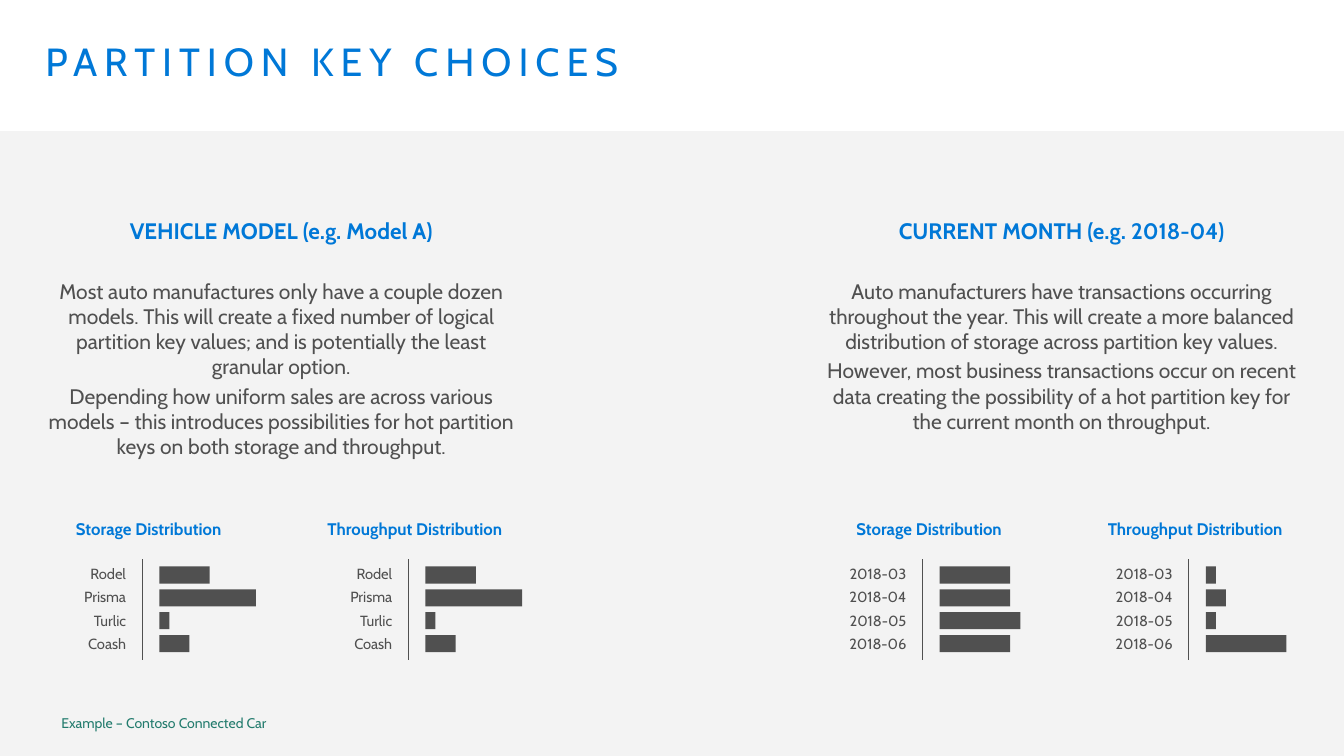
"""Build the slide that compares partition key choices."""
from dataclasses import dataclass

from lxml import etree
from pptx import Presentation
from pptx.dml.color import RGBColor
from pptx.enum.shapes import MSO_CONNECTOR, MSO_SHAPE
from pptx.enum.text import MSO_ANCHOR, MSO_AUTO_SIZE, PP_ALIGN
from pptx.oxml.ns import qn
from pptx.util import Inches, Pt

RECTANGLE = MSO_SHAPE.RECTANGLE
STRAIGHT = MSO_CONNECTOR.STRAIGHT
TOP, MIDDLE = MSO_ANCHOR.TOP, MSO_ANCHOR.MIDDLE
LEFT, CENTER, RIGHT = PP_ALIGN.LEFT, PP_ALIGN.CENTER, PP_ALIGN.RIGHT
NO_FIT, GROW = MSO_AUTO_SIZE.NONE, MSO_AUTO_SIZE.SHAPE_TO_FIT_TEXT


@dataclass(frozen=True)
class Theme:
    """Font, colours and type sizes of the slide."""
    font: str = "Cabin"
    accent: str = "0078D7"
    ink: str = "505050"
    note: str = "227B6D"
    panel: str = "F2F2F2"
    title_size: float = 28
    heading_size: float = 16
    body_size: float = 15
    plot_title_size: float = 12
    label_size: float = 10.5
    note_size: float = 10


THEME = Theme()
PLOT_PITCH = 2.64
ROWS_TOP = 5.62
BAR_PITCH = 0.68 / 3
LABEL_PITCH = 0.7 / 3

CHOICES = [
    {
        "left": 0.29,
        "heading": "VEHICLE MODEL (e.g. Model A)",
        "body": [
            "Most auto manufactures only have a couple dozen models. This will create a fixed "
            "number of logical partition key values; and is potentially the least granular option.",
            "Depending how uniform sales are across various models – this introduces "
            "possibilities for hot partition keys on both storage and throughput.",
        ],
        "keys": ["Rodel", "Prisma", "Turlic", "Coash"],
        "storage": [0.5, 0.96, 0.1, 0.3],
        "throughput": [0.5, 0.96, 0.1, 0.3],
    },
    {
        "left": 8.03,
        "heading": "CURRENT MONTH (e.g. 2018-04)",
        "body": [
            "Auto manufacturers have transactions occurring throughout the year. This will create "
            "a more balanced distribution of storage across partition key values.",
            "However, most business transactions occur on recent data creating the possibility "
            "of a hot partition key for the current month on throughput.",
        ],
        "keys": ["2018-03", "2018-04", "2018-05", "2018-06"],
        "storage": [0.7, 0.7, 0.8, 0.7],
        "throughput": [0.1, 0.2, 0.1, 0.8],
    },
]


def style_paragraph(paragraph, size, color, bold=False, align=LEFT, spacing=None):
    """Format a paragraph and its runs."""
    paragraph.alignment = align
    paragraph.line_spacing = spacing
    for run in paragraph.runs:
        run.font.name = THEME.font
        run.font.size = Pt(size)
        run.font.bold = bold
        run.font.color.rgb = RGBColor.from_string(color)


def add_frame(shapes, left, top, width, height, margins=(0.1, 0.05), anchor=TOP, fit=GROW):
    """Add a wrapping text box and return its text frame."""
    box = shapes.add_textbox(Inches(left), Inches(top), Inches(width), Inches(height))
    frame = box.text_frame
    frame.word_wrap = True
    frame.auto_size = fit
    frame.vertical_anchor = anchor
    frame.margin_left = frame.margin_right = Inches(margins[0])
    frame.margin_top = frame.margin_bottom = Inches(margins[1])
    return frame


def add_block(shapes, left, top, width, height, color):
    """Add a plain filled rectangle without outline."""
    block = shapes.add_shape(RECTANGLE, Inches(left), Inches(top), Inches(width), Inches(height))
    block.shadow.inherit = False
    block.fill.solid()
    block.fill.fore_color.rgb = RGBColor.from_string(color)
    block.line.fill.background()
    return block


def add_panel(shapes):
    """Add the translucent panel below the title."""
    panel = add_block(shapes, 0, 1.3, 13.33, 6.2, THEME.panel)
    color = panel.fill._xPr.find(".//" + qn("a:srgbClr"))
    etree.SubElement(color, qn("a:alpha"), val="89000")


def add_title(shapes, text):
    """Add the letter-spaced slide title."""
    frame = add_frame(shapes, 0.29, 0.32, 12.75, 0.98, (0.16, 0.1), fit=NO_FIT)
    title = frame.paragraphs[0]
    title.text = text
    style_paragraph(title, THEME.title_size, THEME.accent, spacing=0.9)
    title.runs[0].font._element.set("spc", "500")


def add_label(shapes, text, left, top, width, height, size, color, align):
    """Add a one-line label without margins."""
    label = add_frame(shapes, left, top, width, height, (0, 0), MIDDLE).paragraphs[0]
    label.text = text
    style_paragraph(label, size, color, align=align, spacing=0.9)


def add_axis(shapes, left):
    """Add the thin vertical axis of a bar plot."""
    axis = shapes.add_connector(STRAIGHT, Inches(left), Inches(5.55), Inches(left), Inches(6.55))
    axis.line.color.rgb = RGBColor.from_string(THEME.ink)
    axis.line.width = Pt(0.75)
    etree.SubElement(axis._element.spPr, qn("a:effectLst"))


def add_plot(slide, left, title, keys, lengths):
    """Add a titled group of labelled bars."""
    shapes = slide.shapes.add_group_shape().shapes
    heading = add_frame(shapes, left, 5.1, 2.25, 0.3).paragraphs[0]
    heading.text = title
    style_paragraph(heading, THEME.plot_title_size, THEME.accent, True, CENTER)
    for row, (key, length) in enumerate(zip(keys, lengths)):
        add_label(shapes, key, left + 0.07, ROWS_TOP + row * LABEL_PITCH, 0.83, 0.16,
                  THEME.label_size, THEME.ink, RIGHT)
        add_block(shapes, left + 1.23, ROWS_TOP + row * BAR_PITCH, length, 0.17, THEME.ink)
    add_axis(shapes, left + 1.06)


def add_choice(slide, choice):
    """Add the explanation and both bar plots of one key choice."""
    frame = add_frame(slide.shapes, choice["left"], 2.11, 5, 2.54)
    heading = frame.paragraphs[0]
    heading.text = choice["heading"]
    style_paragraph(heading, THEME.heading_size, THEME.accent, True, CENTER)
    for text, gap in zip(choice["body"], (24, 3)):
        statement = frame.add_paragraph()
        statement.text = text
        statement.space_before = Pt(gap)
        style_paragraph(statement, THEME.body_size, THEME.ink, align=CENTER)
    plot_left = choice["left"] + 0.06
    add_plot(slide, plot_left, "Storage Distribution", choice["keys"], choice["storage"])
    add_plot(slide, plot_left + PLOT_PITCH, "Throughput Distribution",
             choice["keys"], choice["throughput"])


def main():
    """Build and save the slide."""
    deck = Presentation()
    deck.slide_width, deck.slide_height = Inches(13.33), Inches(7.5)
    slide = deck.slides.add_slide(deck.slide_layouts[6])
    add_panel(slide.shapes)
    add_title(slide.shapes, "PARTITION KEY CHOICES")
    for choice in CHOICES:
        add_choice(slide, choice)
    add_label(slide.shapes, "Example – Contoso Connected Car", 0.61, 7.11, 2.2, 0.15,
              THEME.note_size, THEME.note, LEFT)
    deck.save("out.pptx")


if __name__ == "__main__":
    main()
